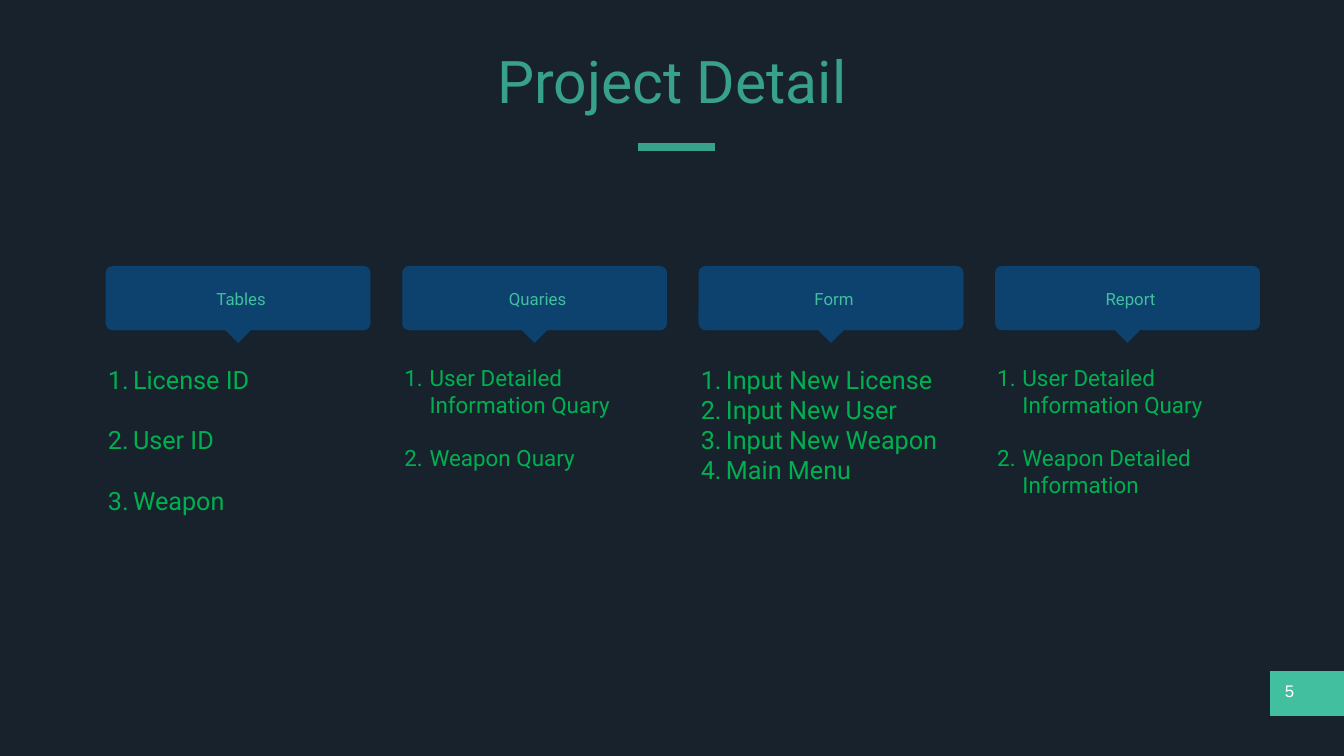
from pptx import Presentation
from pptx.dml.color import RGBColor
from pptx.enum.shapes import MSO_CONNECTOR, MSO_SHAPE
from pptx.enum.text import MSO_ANCHOR, MSO_AUTO_SIZE, PP_ALIGN
from pptx.oxml.ns import qn
from pptx.util import Inches, Pt
from lxml import etree

RECT, ROUND = MSO_SHAPE.RECTANGLE, MSO_SHAPE.ROUNDED_RECTANGLE
LINE = MSO_CONNECTOR.STRAIGHT
TOP, MID = MSO_ANCHOR.TOP, MSO_ANCHOR.MIDDLE
LEFT, CENTER = PP_ALIGN.LEFT, PP_ALIGN.CENTER
FIXED = MSO_AUTO_SIZE.NONE

NIGHT = RGBColor(0x18, 0x22, 0x2D)
TEAL = RGBColor(0x37, 0xA1, 0x89)
MINT = RGBColor(0x42, 0xBF, 0x9F)
NAVY = RGBColor(0x0D, 0x42, 0x6E)
GREEN = RGBColor(0x00, 0xB0, 0x50)
WHITE = RGBColor(0xFF, 0xFF, 0xFF)

TITLE = "Project Detail"
PAGE = "5"
COLUMNS = [
    {"head": "Tables", "wide": 1.1, "size": 36, "gap": 1.2,
     "items": ["License ID", "User ID", "Weapon"]},
    {"head": "Quaries", "wide": 1.26, "size": 32, "gap": 1.2,
     "items": ["User Detailed Information Quary", "Weapon Quary"]},
    {"head": "Form", "wide": 0.87, "size": 36, "gap": 0,
     "items": ["Input New License", "Input New User", "Input New Weapon", "Main Menu"]},
    {"head": "Report", "wide": 1.1, "size": 32, "gap": 1.2,
     "items": ["User Detailed Information Quary", "Weapon Detailed Information"]},
]

WIDTH, HEIGHT = 26.67, 15
START, PITCH = 2.1, 5.883
CARD_W, CARD_H, CARD_Y = 5.25, 1.27, 5.28
TIP, TIP_Y = 0.82, 5.81
HEAD_Y, HEAD_H, SHIFT = 5.68, 0.49, 0.06
LIST_Y, LIST_W, LIST_H = 7.18, 5.01, 4.73


def box(*sides):
    return [Inches(side) for side in sides]


def add_block(shapes, kind, area, color):
    block = shapes.add_shape(kind, *box(*area))
    block.shadow.inherit = False
    block.fill.solid()
    block.fill.fore_color.rgb = color
    block.line.color.rgb = color
    block.line.width = Pt(0.25)
    return block


def write(shape, lines, size, color, font="Roboto", align=CENTER, anchor=TOP, wrap=True):
    frame = shape.text_frame
    frame.text = "\n".join(lines)
    frame.auto_size = FIXED
    frame.word_wrap = wrap
    frame.vertical_anchor = anchor
    frame.margin_left = frame.margin_right = Inches(0.04)
    frame.margin_top = frame.margin_bottom = Inches(0.04)
    for para in frame.paragraphs:
        para.alignment = align
        for run in para.runs:
            run.font.name = font
            run.font.size = Pt(size)
            run.font.color.rgb = color
    return frame


def number(frame, gap):
    for para in frame.paragraphs:
        para.space_after = Pt(gap)
        props = para._p.get_or_add_pPr()
        props.set("marL", str(Inches(0.5)))
        props.set("indent", str(-Inches(0.5)))
        etree.SubElement(props, qn("a:buAutoNum"), type="arabicPeriod")


def add_column(slide, index, column):
    shapes = slide.shapes.add_group_shape().shapes
    left = START + index * PITCH
    mid = left + CARD_W / 2
    card = add_block(shapes, ROUND, (left, CARD_Y, CARD_W, CARD_H), NAVY)
    card.adjustments[0] = 0.106
    tip = add_block(shapes, RECT, (mid - TIP / 2, TIP_Y, TIP, TIP), NAVY)
    tip.rotation = 315
    wide = column["wide"]
    head = shapes.add_textbox(*box(mid + SHIFT - wide / 2, HEAD_Y, wide, HEAD_H))
    write(head, [column["head"]], 24, MINT, anchor=MID, wrap=False)
    body = shapes.add_textbox(*box(left, LIST_Y, LIST_W, LIST_H))
    size = column["size"]
    frame = write(body, column["items"], size, GREEN, align=LEFT)
    number(frame, column["gap"] * size)


def main():
    deck = Presentation()
    deck.slide_width, deck.slide_height = box(WIDTH, HEIGHT)
    slide = deck.slides.add_slide(deck.slide_layouts[5])
    slide.background.fill.solid()
    slide.background.fill.fore_color.rgb = NIGHT

    title = slide.shapes.title
    title.left, title.top, title.width, title.height = box(WIDTH / 8, 0.85, WIDTH * 0.75, 1.78)
    write(title, [TITLE], 84, TEAL)

    add_block(slide.shapes, RECT, (25.21, 13.32, WIDTH - 25.21, 0.87), MINT)
    page = slide.shapes.add_textbox(*box(25.45, 13.46, 0.28, 0.53))
    write(page, [PAGE], 24, WHITE, font="Arial", wrap=False)

    rule = slide.shapes.add_connector(LINE, *box(12.67, 2.91, 14.18, 2.91))
    rule.line.color.rgb = TEAL
    rule.line.width = Pt(11)
    etree.SubElement(rule._element.spPr, qn("a:effectLst"))

    for index, column in enumerate(COLUMNS):
        add_column(slide, index, column)
    deck.save("out.pptx")


if __name__ == "__main__":
    main()
